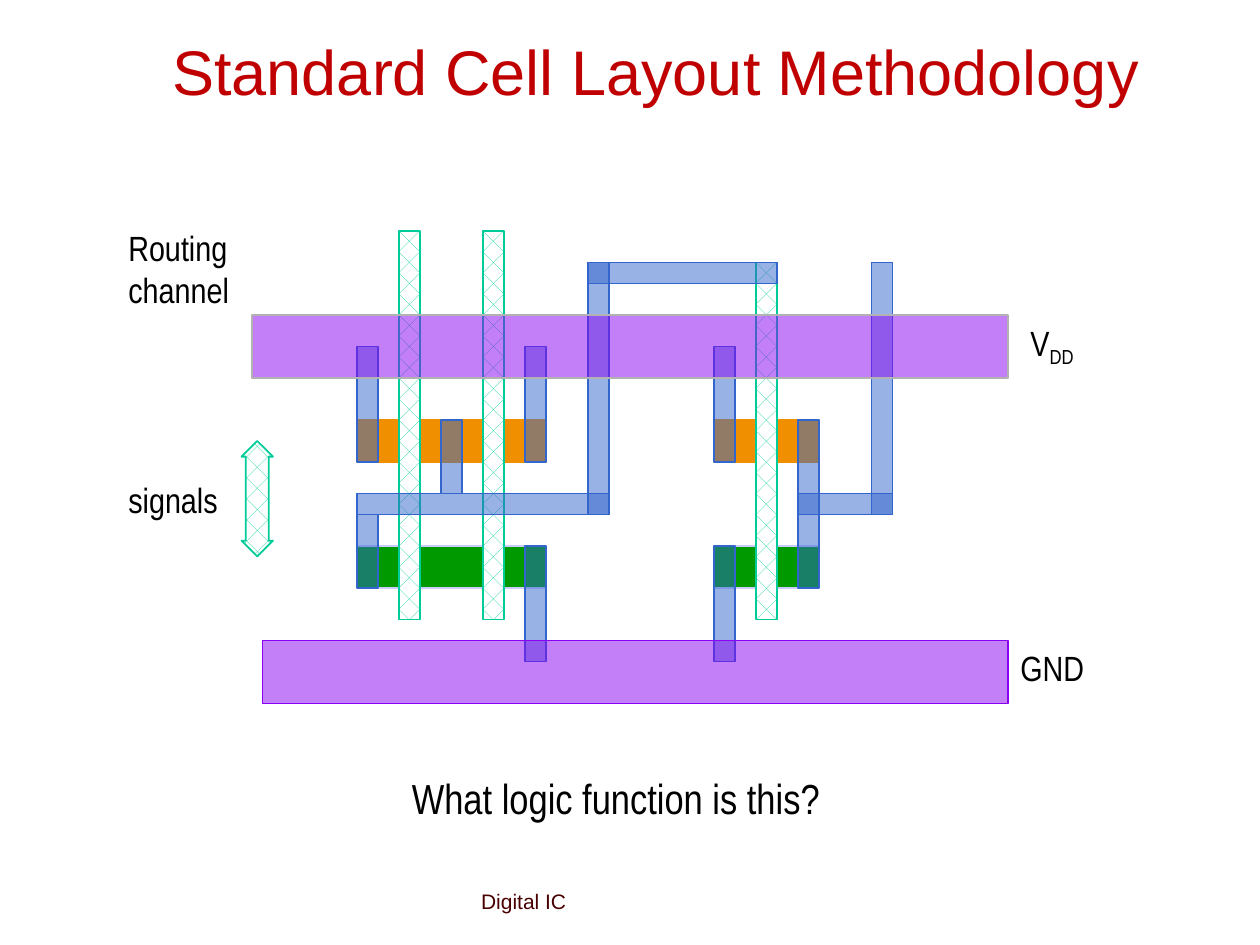
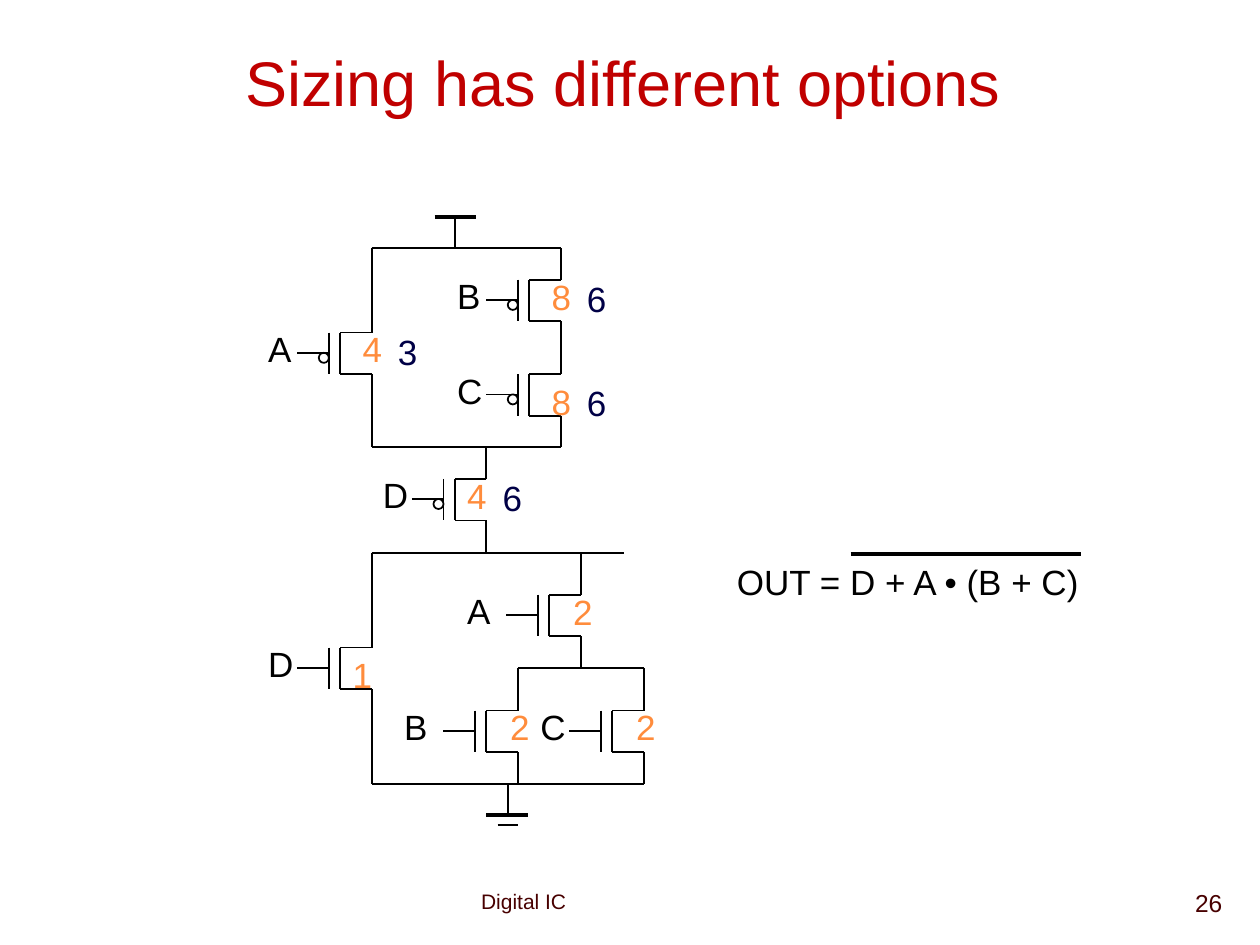
"""Build two digital IC slides: a standard cell layout and a sized CMOS gate."""
from lxml import etree
from pptx import Presentation
from pptx import util as u
from pptx.dml.color import RGBColor
from pptx.enum import dml, shapes, text
from pptx.oxml import ns

RED = RGBColor(0xC0, 0x00, 0x00)
MAROON = RGBColor(0x48, 0x00, 0x00)
BLACK = RGBColor(0x00, 0x00, 0x00)
WHITE = RGBColor(0xFF, 0xFF, 0xFF)
NAVY = RGBColor(0x00, 0x00, 0x46)
ORANGE = RGBColor(0xFF, 0x8C, 0x3C)
P_DIFFUSION = RGBColor(0xF0, 0x8F, 0x00)
N_DIFFUSION = RGBColor(0x00, 0x99, 0x00)
LAVENDER = RGBColor(0xCC, 0xCC, 0xFF)
POLY = RGBColor(0x00, 0xCC, 0x99)
METAL1 = RGBColor(0x33, 0x66, 0xCC)
METAL2 = RGBColor(0x89, 0x01, 0xF3)
GREY = RGBColor(0xB2, 0xB2, 0xB2)
SANS, NARROW = "Arial", "Arial Narrow"
GRID = u.Inches(1) / 12


def add_run(p, words, size, color, font=SANS):
    """Append a formatted run to a paragraph and return it."""
    r = p.add_run()
    r.text = words
    r.font.name = font
    r.font.size = u.Pt(size)
    r.font.color.rgb = color
    return r


def add_label(s, x, y, w, h, lines, size=20, color=BLACK, font=SANS,
              wrap=False, align=None):
    """Add a text box with one paragraph per line and return its text frame."""
    box = s.shapes.add_textbox(u.Inches(x), u.Inches(y), u.Inches(w), u.Inches(h))
    tf = box.text_frame
    tf.word_wrap = wrap
    for i, line in enumerate(lines):
        p = tf.add_paragraph() if i else tf.paragraphs[0]
        p.alignment = align
        add_run(p, line, size, color, font)
    return tf


def new_slide(prs, title, x, y, w, h):
    """Add a slide with the shared title style and footer."""
    s = prs.slides.add_slide(prs.slide_layouts[5])
    sp = s.shapes.title
    sp.left, sp.top, sp.width, sp.height = (u.Inches(v) for v in (x, y, w, h))
    tf = sp.text_frame
    tf.auto_size = text.MSO_AUTO_SIZE.NONE
    tf.vertical_anchor = text.MSO_ANCHOR.MIDDLE
    tf.paragraphs[0].alignment = text.PP_ALIGN.CENTER
    add_run(tf.paragraphs[0], title, 36, RED)
    add_label(s, 3.72, 7, 2.42, 0.3, ["Digital IC"], 12, MAROON, wrap=True)
    return s


def add_block(s, cells, fill, line, kind=shapes.MSO_SHAPE.RECTANGLE):
    """Add a layout shape, placed in twelfths of an inch."""
    sp = s.shapes.add_shape(kind, *(round(v * GRID) for v in cells))
    sp.shadow.inherit = False
    sp.line.color.rgb = line
    sp.line.width = u.Pt(1)
    if fill is POLY:
        sp.fill.patterned()
        sp.fill.pattern = dml.MSO_PATTERN.DOTTED_DIAMOND
        sp.fill.fore_color.rgb = POLY
        sp.fill.back_color.rgb = WHITE
    else:
        sp.fill.solid()
        sp.fill.fore_color.rgb = fill
    if fill in (METAL1, METAL2):
        color = sp._element.spPr.find(ns.qn("a:solidFill"))[0]
        etree.SubElement(color, ns.qn("a:alpha")).set("val", "50000")
    return sp


def add_wire(s, *points, width=1):
    """Join successive points with straight connectors."""
    for start, end in zip(points, points[1:]):
        c = s.shapes.add_connector(shapes.MSO_CONNECTOR.STRAIGHT,
                                   *(u.Inches(v) for v in start + end))
        c.line.color.rgb = BLACK
        c.line.width = u.Pt(width)
        etree.SubElement(c._element.spPr, ns.qn("a:effectLst"))


def add_transistor(s, name, x, y, label_dx=-0.92, pmos=False):
    """Draw a transistor whose drain is at x, y, with its gate name."""
    channel, gate, mid, low = x - 0.25, x - 0.34, y + 0.16, y + 0.33
    add_wire(s, (x, y), (channel, y), (channel, low), (x, low), (x, low + 0.25))
    add_wire(s, (gate, y), (gate, low))
    add_wire(s, (gate - 0.25, mid), (gate, mid))
    if pmos:
        sp = s.shapes.add_shape(shapes.MSO_SHAPE.OVAL, u.Inches(gate - 0.08),
                                u.Inches(mid), u.Inches(0.08), u.Inches(0.08))
        sp.shadow.inherit = False
        sp.fill.background()
        sp.line.color.rgb = BLACK
        sp.line.width = u.Pt(1)
    add_label(s, x + label_dx, y - 0.09, 0.4, 0.43, [name])


def build_layout_slide(prs):
    """Build the standard cell layout slide."""
    s = new_slide(prs, "Standard Cell Layout Methodology", 0.58, 0.33, 9.25, 0.46)
    for y, fill, line in ((40, P_DIFFUSION, P_DIFFUSION), (52, N_DIFFUSION, LAVENDER)):
        for x, w in ((34, 18), (68, 10)):
            add_block(s, (x, y, w, 4), fill, line)
    for x, y in ((38, 22), (46, 22), (72, 25)):
        add_block(s, (x, y, 2, 59 - y), POLY, POLY)

    supply_contacts = [(x, 33, 2, 11) for x in (34, 50, 68)]
    ground_contacts = [(x, 52, 2, 11) for x in (50, 68)]
    first_gate = [(42, 40, 2, 7), (34, 49, 2, 7), (34, 47, 24, 2),
                  (56, 25, 2, 24), (56, 25, 18, 2)]
    second_gate = [(76, 40, 2, 16), (76, 47, 9, 2), (83, 25, 2, 24)]
    for cells in supply_contacts + ground_contacts + first_gate + second_gate:
        add_block(s, cells, METAL1, METAL1)

    arrow = add_block(s, (23, 42, 3, 11), POLY, POLY, shapes.MSO_SHAPE.UP_DOWN_ARROW)
    arrow.adjustments[0] = 0.5
    arrow.adjustments[1] = 0.73

    add_label(s, 0.92, 3.75, 1.07, 0.43, ["signals"], font=NARROW)
    add_label(s, 0.92, 1.75, 1.18, 0.77, ["Routing", "channel"], font=NARROW)
    tf = add_label(s, 8.08, 2.5, 0.65, 0.43, ["V"], font=NARROW)
    r = add_run(tf.paragraphs[0], "DD", 20, BLACK, NARROW)
    r.font._element.set("baseline", "-25000")
    add_label(s, 8, 5.08, 0.82, 0.43, ["GND"], font=NARROW)
    add_block(s, (24, 30, 72, 6), METAL2, GREY)
    add_block(s, (25, 61, 71, 6), METAL2, METAL2)
    add_label(s, 3.17, 6.08, 4.15, 0.5, ["What logic function is this?"], 24, font=NARROW)


def build_sizing_slide(prs):
    """Build the transistor sizing slide."""
    s = new_slide(prs, "Sizing has different options", 0.4, 0.27, 9.09, 0.75)
    add_label(s, 7.72, 7, 2.08, 0.5, ["26"], 14, MAROON, wrap=True,
              align=text.PP_ALIGN.RIGHT)
    add_label(s, 5.75, 4.4, 2.94, 0.43, ["OUT = D + A • (B + C)"])
    add_wire(s, (6.75, 4.4), (8.58, 4.4), width=2.25)

    for name, x, y in (("A", 2.95, 2.64), ("B", 4.45, 2.22),
                       ("C", 4.45, 2.97), ("D", 3.86, 3.8)):
        add_transistor(s, name, x, y, pmos=True)
    for name, x, y, dx in (("D", 2.95, 5.14, -0.92), ("A", 4.61, 4.72, -1),
                           ("B", 4.11, 5.64, -1), ("C", 5.11, 5.64, -0.92)):
        add_transistor(s, name, x, y, dx)

    add_wire(s, (3.61, 1.72), (3.61, 1.97))
    add_wire(s, (2.95, 2.64), (2.95, 1.97), (4.45, 1.97), (4.45, 2.22))
    add_wire(s, (4.45, 2.8), (4.45, 2.97))
    add_wire(s, (2.95, 3.22), (2.95, 3.55), (4.45, 3.55))
    add_wire(s, (3.86, 3.55), (3.86, 3.8))
    add_wire(s, (2.95, 5.14), (2.95, 4.39), (4.95, 4.39))
    add_wire(s, (4.61, 4.39), (4.61, 4.72))
    add_wire(s, (4.11, 5.64), (4.11, 5.3), (5.11, 5.3), (5.11, 5.64))
    add_wire(s, (2.95, 5.72), (2.95, 6.22), (5.11, 6.22))
    add_wire(s, (4.03, 6.22), (4.03, 6.47))
    add_wire(s, (3.95, 6.55), (4.11, 6.55))
    for x, y in ((3.45, 1.72), (3.86, 6.47)):
        add_wire(s, (x, y), (x + 0.33, y), width=2.25)

    first_sizes = (("1", 2.7, 5.14), ("2", 4.45, 4.64), ("2", 3.95, 5.55),
                   ("2", 4.95, 5.55), ("4", 3.61, 3.72), ("4", 2.78, 2.55),
                   ("8", 4.28, 2.97), ("8", 4.28, 2.14))
    second_sizes = (("6", 3.89, 3.73), ("3", 3.06, 2.57),
                    ("6", 4.56, 2.98), ("6", 4.56, 2.15))
    for sizes, color in ((first_sizes, ORANGE), (second_sizes, NAVY)):
        for size, x, y in sizes:
            add_label(s, x, y, 0.36, 0.43, [size], color=color)


def main():
    """Create and save the presentation."""
    prs = Presentation()
    prs.slide_width, prs.slide_height = u.Inches(10), u.Inches(7.5)
    build_layout_slide(prs)
    build_sizing_slide(prs)
    prs.save("out.pptx")


if __name__ == "__main__":
    main()
